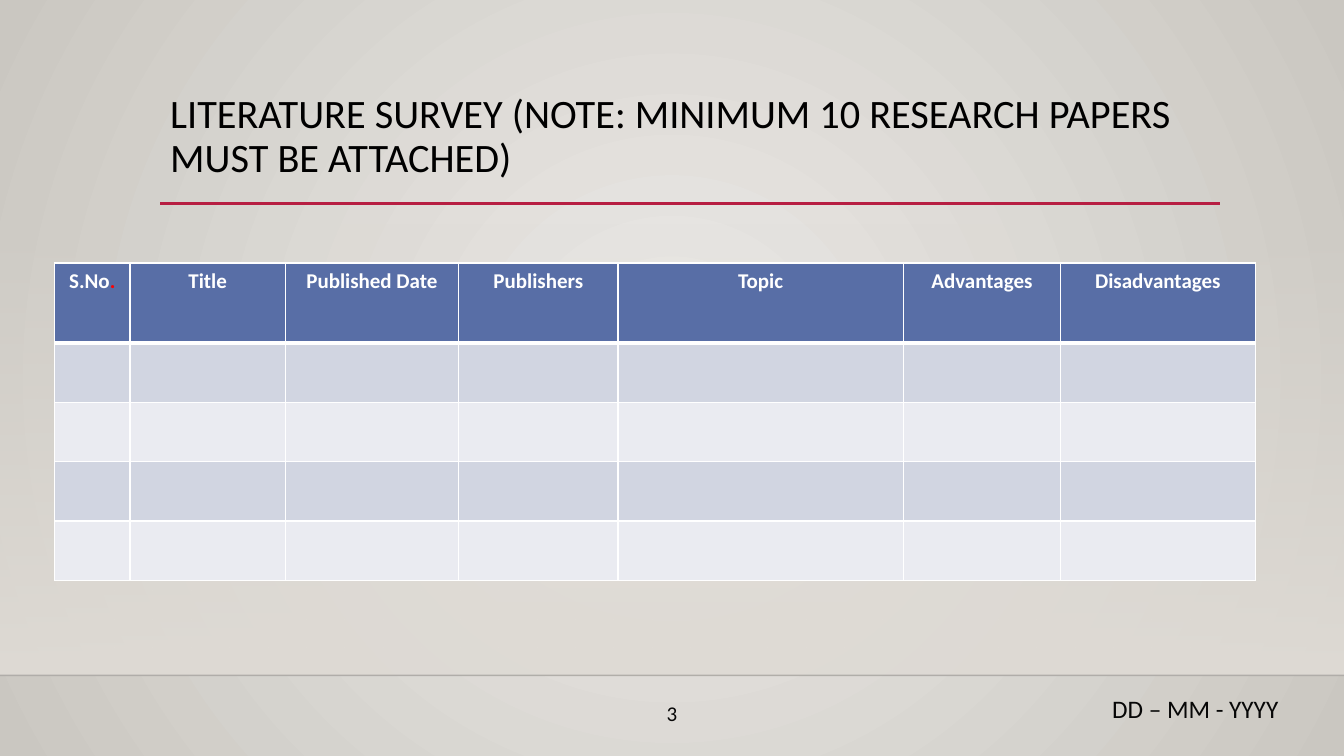
from dataclasses import dataclass

from lxml import etree
from pptx import Presentation
from pptx.dml.color import RGBColor
from pptx.enum.shapes import MSO_CONNECTOR as CONN, MSO_SHAPE
from pptx.enum.text import MSO_ANCHOR as ANCHOR, PP_ALIGN as ALIGN
from pptx.oxml import parse_xml
from pptx.oxml.ns import nsdecls, qn
from pptx.util import Inches, Pt


@dataclass(frozen=True)
class Theme:
    font: str = "Calibri"
    bg_center: str = "ECEAE7"
    bg_edge: str = "CAC7C1"
    haze: str = "DFDBD5"
    floor_line: str = "000001"
    accent: str = "B71E42"
    title: str = "000000"
    footer: str = "070707"
    header: str = "586EA6"
    bands: tuple = ("D1D5E1", "EAEBF1")
    white: str = "FFFFFF"
    dot: str = "FF0000"
    title_size: float = 28.8
    table_size: float = 15
    number_size: float = 15
    date_size: float = 18


theme = Theme()


def set_gradient(fill, parent, start, end, start_alpha, shade):
    fill.gradient()
    grad = next(parent.iter(qn("a:gradFill")))
    grad.getparent().replace(grad, parse_xml(
        f'<a:gradFill rotWithShape="1" {nsdecls("a")}><a:gsLst>'
        f'<a:gs pos="0"><a:srgbClr val="{start}"><a:alpha val="{start_alpha}"/></a:srgbClr></a:gs>'
        f'<a:gs pos="100000"><a:srgbClr val="{end}"/></a:gs>'
        f'</a:gsLst>{shade}</a:gradFill>'))


def add_text(s, box, text, size, color, align, anchor):
    tb = s.shapes.add_textbox(*map(Inches, box))
    tf = tb.text_frame
    tf.word_wrap = True
    tf.vertical_anchor = anchor
    tf.text = text
    p = tf.paragraphs[0]
    p.alignment = align
    font = p.runs[0].font
    font.name, font.size = theme.font, Pt(size)
    font.color.rgb = RGBColor.from_string(color)
    return p


prs = Presentation()
prs.slide_width, prs.slide_height = Inches(13.33), Inches(7.5)
s = prs.slides.add_slide(prs.slide_layouts[6])

set_gradient(s.background.fill, s.element, theme.bg_center, theme.bg_edge, 100000,
             '<a:path path="circle"><a:fillToRect l="50000" t="50000" r="50000" b="50000"/></a:path>')

haze = s.shapes.add_shape(MSO_SHAPE.RECTANGLE, 0, Inches(2.21), Inches(13.33), Inches(4.49))
haze.shadow.inherit = False
haze.line.fill.background()
set_gradient(haze.fill, haze.element, theme.haze, theme.haze, 0,
             '<a:lin ang="5400000" scaled="0"/>')

for left, right, y, color, width, opacity in (
    (0, 13.33, 6.7, theme.floor_line, 1, 20),
    (1.59, 12.1, 2.02, theme.accent, 2.5, 100),
):
    rule = s.shapes.add_connector(CONN.STRAIGHT, Inches(left), Inches(y), Inches(right), Inches(y))
    rule.line.width = Pt(width)
    rule.line.color.rgb = RGBColor.from_string(color)
    clr = next(rule.element.spPr.iter(qn("a:srgbClr")))
    etree.SubElement(clr, qn("a:alpha")).set("val", str(opacity * 1000))
    etree.SubElement(rule.element.spPr, qn("a:effectLst"))

title = add_text(s, (1.59, 0.88, 10.5, 1.15),
                 "LITERATURE SURVEY (NOTE: MINIMUM 10 RESEARCH PAPERS MUST BE ATTACHED)",
                 theme.title_size, theme.title, ALIGN.LEFT, ANCHOR.TOP)
title.line_spacing = 0.9

headers = ("S.No", "Title", "Published Date", "Publishers", "Topic", "Advantages", "Disadvantages")
col_widths = (0.75, 1.54, 1.72, 1.58, 2.83, 1.56, 1.93)
row_heights = (0.79,) + (0.59,) * 4
table = s.shapes.add_table(len(row_heights), len(headers), Inches(0.54), Inches(2.61),
                           Inches(sum(col_widths)), Inches(sum(row_heights))).table
for col, width in zip(table.columns, col_widths):
    col.width = Inches(width)

for i, height in enumerate(row_heights):
    table.rows[i].height = Inches(height)
    for j, header in enumerate(headers):
        cell = table.cell(i, j)
        cell.fill.solid()
        cell.fill.fore_color.rgb = RGBColor.from_string(
            theme.bands[(i - 1) % 2] if i else theme.header)
        tcPr = cell._tc.get_or_add_tcPr()
        for k, side in enumerate("LRTB"):
            thick = (i, side) in ((0, "B"), (1, "T"))
            tcPr.insert(k, parse_xml(
                f'<a:ln{side} w="{Pt(3 if thick else 1)}" {nsdecls("a")}><a:solidFill>'
                f'<a:srgbClr val="{theme.white}"/></a:solidFill></a:ln{side}>'))
        p = cell.text_frame.paragraphs[0]
        p.font.size = Pt(theme.table_size)
        if i == 0:
            p.text = header
            p.alignment = ALIGN.CENTER
            if j == 0:
                p.add_run().text = "."
            for r in p.runs:
                r.font.name, r.font.size, r.font.bold = theme.font, Pt(theme.table_size), True
                r.font.color.rgb = RGBColor.from_string(theme.dot if r.text == "." else theme.white)

add_text(s, (2.91, 6.87, 7.51, 0.4), "3", theme.number_size, theme.footer,
         ALIGN.CENTER, ANCHOR.MIDDLE)
add_text(s, (10.81, 6.83, 2.09, 0.4), "DD – MM - YYYY", theme.date_size, theme.footer,
         ALIGN.CENTER, ANCHOR.TOP)

prs.save("out.pptx")
